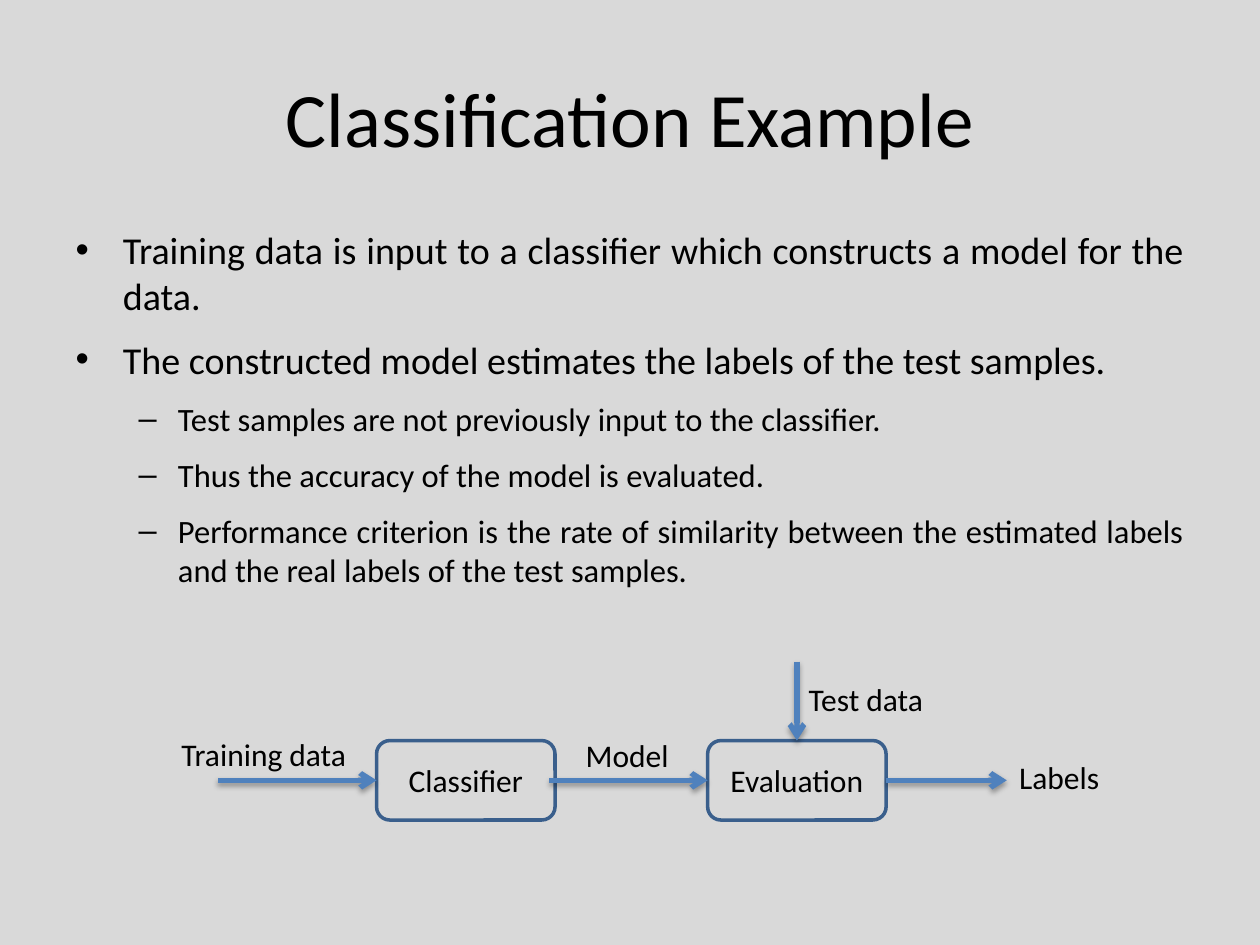
from lxml import etree
from pptx import Presentation
from pptx.dml.color import RGBColor
from pptx.enum.shapes import MSO_CONNECTOR, MSO_SHAPE
from pptx.enum.text import MSO_ANCHOR, MSO_AUTO_SIZE, PP_ALIGN
from pptx.oxml.ns import qn
from pptx.util import Pt

STRAIGHT = MSO_CONNECTOR.STRAIGHT
ROUNDED = MSO_SHAPE.ROUNDED_RECTANGLE
MIDDLE, TOP_ANCHOR = MSO_ANCHOR.MIDDLE, MSO_ANCHOR.TOP
NO_FIT, GROW = MSO_AUTO_SIZE.NONE, MSO_AUTO_SIZE.SHAPE_TO_FIT_TEXT
LEFT, CENTER, JUSTIFY = PP_ALIGN.LEFT, PP_ALIGN.CENTER, PP_ALIGN.JUSTIFY
TOP_SIDE, LEFT_SIDE, RIGHT_SIDE = 0, 1, 3

COLORS = {"page": "D9D9D9", "text": "000000", "border": "3A5F8C",
          "arrow": "4F81BD", "shadow": "000000"}
LEVELS = [{"bullet": "•", "size": 21.7, "margin": 27, "indent": -27},
          {"bullet": "–", "size": 18.6, "margin": 58.5, "indent": -22.5}]
POINTS = [
    (0, "Training data is input to a classifier which constructs a model for the data."),
    (0, "The constructed model estimates the labels of the test samples."),
    (1, "Test samples are not previously input to the classifier."),
    (1, "Thus the accuracy of the model is evaluated."),
    (1, "Performance criterion is the rate of similarity between the estimated "
        "labels and the real labels of the test samples."),
]
BOX_TOP, BOX_WIDTH, BOX_HEIGHT = 423.2, 102, 45.4
FLOW_Y = BOX_TOP + BOX_HEIGHT / 2
CLASSIFIER_X, EVALUATION_X = 215.2, 404.4
LABELS = [("Training data", 96.5, 416.2, 110), ("Model", 327.6, 416.9, 62.6),
          ("Test data", 455, 385.2, 80.6), ("Labels", 575.3, 429.8, 73.4)]


def color(name):
    """Return the named palette colour."""
    return RGBColor.from_string(COLORS[name])


class SlideBuilder:
    """Holds the text style and the current slide."""

    def __init__(self, page, font="Calibri", label_size=18):
        self.page, self.font, self.label_size = page, font, label_size
        page.background.fill.solid()
        page.background.fill.fore_color.rgb = color("page")

    def place(self, shape, left, top, width, height):
        shape.left, shape.top = Pt(left), Pt(top)
        shape.width, shape.height = Pt(width), Pt(height)

    def style(self, para, size, align):
        para.alignment = align
        for span in para.runs:
            span.font.name, span.font.size = self.font, Pt(size)
            span.font.color.rgb = color("text")

    def title(self, text, *bounds):
        shape = self.page.shapes.title
        self.place(shape, *bounds)
        frame = shape.text_frame
        frame.text = text
        frame.auto_size, frame.vertical_anchor = NO_FIT, MIDDLE
        self.style(frame.paragraphs[0], 44, CENTER)

    def bullets(self, points, *bounds):
        shape = self.page.placeholders[1]
        self.place(shape, *bounds)
        frame = shape.text_frame
        frame.text = "\n".join(text for _, text in points)
        frame.auto_size, frame.vertical_anchor = NO_FIT, TOP_ANCHOR
        for index, (para, (level, _)) in enumerate(zip(frame.paragraphs, points)):
            look = LEVELS[level]
            para.level = level
            para.space_before = Pt(look["size"] * 0.2 if index else 0)
            para.space_after = Pt(6)
            props = para._p.get_or_add_pPr()
            props.set("marL", str(Pt(look["margin"])))
            props.set("indent", str(Pt(look["indent"])))
            etree.SubElement(props, qn("a:buChar"), char=look["bullet"])
            self.style(para, look["size"], JUSTIFY)

    def box(self, text, left):
        shape = self.page.shapes.add_shape(
            ROUNDED, Pt(left), Pt(BOX_TOP), Pt(BOX_WIDTH), Pt(BOX_HEIGHT))
        shape.shadow.inherit = False
        shape.fill.background()
        shape.line.color.rgb, shape.line.width = color("border"), Pt(2)
        shape.text_frame.text = text
        shape.text_frame.vertical_anchor = MIDDLE
        self.style(shape.text_frame.paragraphs[0], self.label_size, CENTER)
        return shape

    def label(self, text, left, top, width):
        shape = self.page.shapes.add_textbox(Pt(left), Pt(top), Pt(width), Pt(29))
        frame = shape.text_frame
        frame.text = text
        frame.word_wrap, frame.auto_size = False, GROW
        self.style(frame.paragraphs[0], self.label_size, LEFT)

    def arrow(self, start, end, source=None, target=None):
        line = self.page.shapes.add_connector(STRAIGHT, *map(Pt, start + end))
        if source:
            line.begin_connect(*source)
        if target:
            line.end_connect(*target)
        line.line.color.rgb, line.line.width = color("arrow"), Pt(3)
        etree.SubElement(line.line._get_or_add_ln(), qn("a:tailEnd"), type="arrow")
        effects = etree.SubElement(line._element.spPr, qn("a:effectLst"))
        shadow = etree.SubElement(
            effects, qn("a:outerShdw"), blurRad=str(Pt(3.1)), dist=str(Pt(1.8)),
            dir="5400000", rotWithShape="0")
        tint = etree.SubElement(shadow, qn("a:srgbClr"), val=COLORS["shadow"])
        etree.SubElement(tint, qn("a:alpha"), val="35000")


def main():
    """Build and save the classification slide."""
    deck = Presentation()
    deck.slide_width, deck.slide_height = Pt(720), Pt(540)
    slide = SlideBuilder(deck.slides.add_slide(deck.slide_layouts[1]))
    slide.title("Classification Example", 36, 21.6, 648, 90)
    slide.bullets(POINTS, 36, 126, 648, 252)

    classifier = slide.box("Classifier", CLASSIFIER_X)
    evaluation = slide.box("Evaluation", EVALUATION_X)
    test_x, output_x = EVALUATION_X + BOX_WIDTH / 2, EVALUATION_X + BOX_WIDTH
    slide.arrow((124.6, FLOW_Y), (CLASSIFIER_X, FLOW_Y), target=(classifier, LEFT_SIDE))
    slide.arrow((313.9, FLOW_Y), (EVALUATION_X, FLOW_Y), target=(evaluation, LEFT_SIDE))
    slide.arrow((test_x, 378), (test_x, BOX_TOP), target=(evaluation, TOP_SIDE))
    slide.arrow((output_x, FLOW_Y), (575.3, FLOW_Y), source=(evaluation, RIGHT_SIDE))
    for label in LABELS:
        slide.label(*label)
    deck.save("out.pptx")


if __name__ == "__main__":
    main()
